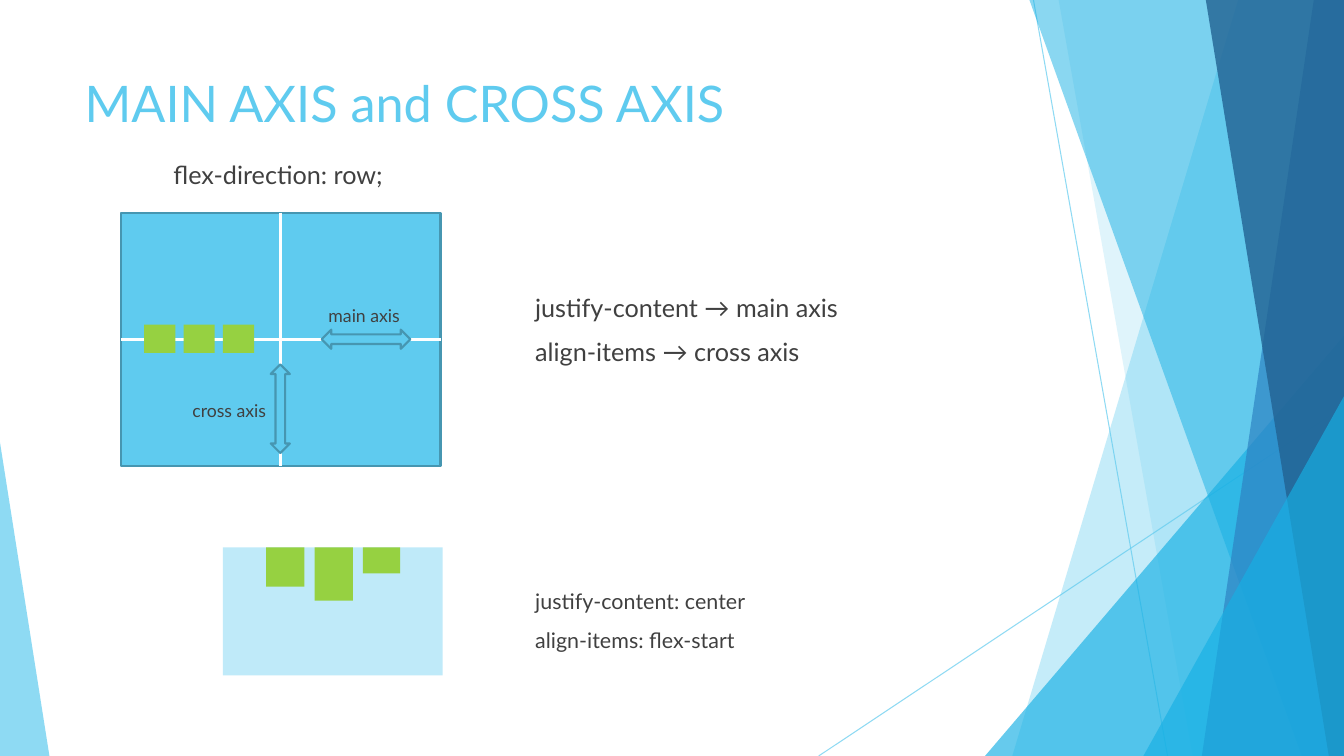
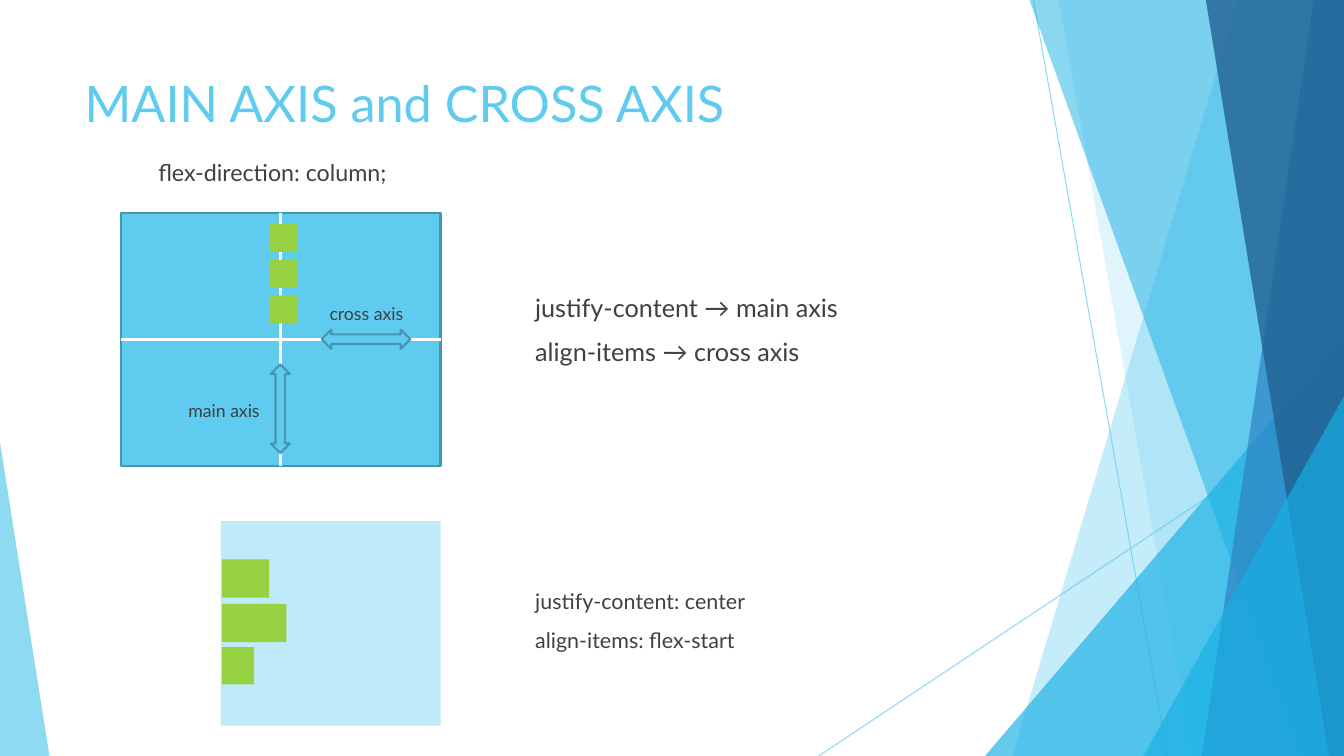
from lxml.etree import SubElement
from pptx import Presentation
from pptx.dml.color import RGBColor
from pptx.enum.shapes import MSO_CONNECTOR, MSO_SHAPE
from pptx.enum.text import MSO_ANCHOR, MSO_AUTO_SIZE, PP_ALIGN
from pptx.oxml.ns import qn
from pptx.util import Inches, Pt

SKY = RGBColor(0x5F, 0xCB, 0xEF)
AZURE = RGBColor(0x17, 0xB0, 0xE4)
BLUE = RGBColor(0x2E, 0x83, 0xC3)
NAVY = RGBColor(0x22, 0x62, 0x92)
PALE = RGBColor(0xBF, 0xEA, 0xF9)
EDGE = RGBColor(0x46, 0x96, 0xB1)
GREEN = RGBColor(0x96, 0xD1, 0x41)
INK = RGBColor(0x40, 0x40, 0x40)
WHITE = RGBColor(0xFF, 0xFF, 0xFF)

WIDTH, HEIGHT = 13.33, 7.5
LEFT, TOP, ACROSS, DOWN = 1.2, 2.11, 3.17, 2.51
MIDDLE_X, MIDDLE_Y = LEFT + ACROSS / 2, TOP + DOWN / 2
ARROW_LONG, ARROW_THICK = 0.88, 0.19
NOTES_LEFT = 5.21


def paint(shape, fill=None, line=None, weight=0, opacity=100):
    if fill is None:
        SubElement(shape.element.spPr, qn("a:effectLst"))
    else:
        shape.shadow.inherit = False
        shape.fill.solid()
        shape.fill.fore_color.rgb = fill
    if line is None:
        shape.line.fill.background()
    else:
        shape.line.color.rgb = line
        shape.line.width = Pt(weight)
    if opacity < 100:
        colour = shape.element.spPr.find(".//" + qn("a:srgbClr"))
        SubElement(colour, qn("a:alpha")).set("val", str(opacity * 1000))
    shape.element.spPr.find(qn("a:ln"))


def write(box, text, size, colour=INK, before=10):
    frame = box.text_frame
    frame.text = text
    frame.word_wrap = True
    frame.auto_size = MSO_AUTO_SIZE.NONE
    frame.vertical_anchor = MSO_ANCHOR.TOP
    for para in frame.paragraphs:
        para.alignment = PP_ALIGN.LEFT
        para.space_before = Pt(before)
        props = para._p.get_or_add_pPr()
        props.set("marL", "0")
        props.set("indent", "0")
        SubElement(props, qn("a:buNone"))
        for span in para.runs:
            span.font.name = "Lato"
            span.font.size = Pt(size)
            span.font.color.rgb = colour


deck = Presentation()
deck.slide_width, deck.slide_height = Inches(WIDTH), Inches(HEIGHT)
layout = deck.slide_layouts[1]
heading = layout.placeholders[0]
heading.left, heading.top = Inches(0.74), Inches(0.67)
heading.width, heading.height = Inches(9.4), Inches(1.44)

versions = [
    dict(direction="flex-direction: row;", size=18, at=(1.62, 1.53, 2.4, 0.41),
         labels=[("main axis", 3.16, 2.98), ("cross axis", 1.81, 3.92)],
         squares=[(1.43 + 0.39 * i, 3.22, 0.31, 0.28) for i in range(3)],
         panel=(2.21, 5.43, 2.18, 1.27),
         bars=[(2.64, 5.43, 0.38, 0.39), (3.12, 5.43, 0.38, 0.53),
               (3.6, 5.43, 0.37, 0.26)]),
    dict(direction="flex-direction: column;", size=16.6, at=(1.47, 1.52, 2.75, 0.46),
         labels=[("cross axis", 3.17, 2.96), ("main axis", 1.77, 3.92)],
         squares=[(2.67, 2.22 + 0.355 * i, 0.28, 0.28) for i in range(3)],
         panel=(2.19, 5.17, 2.18, 2.03),
         bars=[(2.2, 5.55, 0.47, 0.38), (2.2, 5.99, 0.64, 0.38),
               (2.2, 6.42, 0.32, 0.37)]),
]
notes = [
    ("justify-content → main axis\nalign-items → cross axis", 18, 2.85, 3.6, 1.21),
    ("justify-content: center\nalign-items: flex-start", 15.3, 5.78, 2.35, 0.78),
]
pages = [deck.slides.add_slide(layout) for version in versions]

canvas = pages[0].shapes
decor = []
for ends in [(10.25, 0, 11.58, HEIGHT), (WIDTH, 4.03, 8.12, HEIGHT)]:
    ray = canvas.add_connector(MSO_CONNECTOR.STRAIGHT, *map(Inches, ends))
    paint(ray, line=SKY, weight=0.75, opacity=70)
    decor.append(ray)

facets = [
    ("band", 12.28, 10.04, SKY, 36),
    ("band", 10.5, 11.83, SKY, 20),
    ("peak", 9.77, 3.33, AZURE, 66),
    ("band", 10.21, 12.91, AZURE, 50),
    ("band", 13.03, 11.92, BLUE, 70),
    ("band", 11.96, 13.18, NAVY, 80),
    ("peak", 11.34, 3.93, AZURE, 66),
    ("corner", 0, 4.39, SKY, 70),
]
for kind, first, second, colour, opacity in facets:
    if kind == "band":
        outline = canvas.build_freeform(Inches(first), 0)
        outline.add_line_segments([
            (Inches(x), Inches(y))
            for x, y in [(WIDTH, 0), (WIDTH, HEIGHT), (second, HEIGHT)]])
        facet = outline.convert_to_shape()
    else:
        base = WIDTH - first if kind == "peak" else 0.49
        facet = canvas.add_shape(
            MSO_SHAPE.ISOSCELES_TRIANGLE,
            *map(Inches, (first, second, base, HEIGHT - second)))
        facet.adjustments[0] = 1 if kind == "peak" else 0
    paint(facet, colour, opacity=opacity)
    decor.append(facet)

for number, piece in enumerate(decor, 20):
    piece.element.find(".//" + qn("p:cNvPr")).set("id", str(number))
    layout.shapes.element.append(piece.element)

for page, version in zip(pages, versions):
    shapes = page.shapes
    write(shapes.title, "MAIN AXIS and CROSS AXIS", 36, SKY, 0)
    body = page.placeholders[1]
    body.left, body.top, body.width, body.height = map(Inches, version["at"])
    write(body, version["direction"], version["size"])

    for text, size, top, width, height in notes:
        box = shapes.add_textbox(*map(Inches, (NOTES_LEFT, top, width, height)))
        write(box, text, size)

    container = shapes.add_shape(
        MSO_SHAPE.RECTANGLE, *map(Inches, (LEFT, TOP, ACROSS, DOWN)))
    paint(container, SKY, EDGE, 1.5)
    for ends in [(MIDDLE_X, TOP, MIDDLE_X, TOP + DOWN),
                 (LEFT, MIDDLE_Y, LEFT + ACROSS, MIDDLE_Y)]:
        axis = shapes.add_connector(MSO_CONNECTOR.STRAIGHT, *map(Inches, ends))
        paint(axis, line=WHITE, weight=2.25)

    for left, top, turn in [(3.19, 3.27, 0), (2.34, 3.96, 90)]:
        arrow = shapes.add_shape(
            MSO_SHAPE.LEFT_RIGHT_ARROW,
            *map(Inches, (left, top, ARROW_LONG, ARROW_THICK)))
        arrow.rotation = turn
        paint(arrow, SKY, EDGE, 1.5)
    for text, left, top in version["labels"]:
        label = shapes.add_textbox(*map(Inches, (left, top, 1.07, 0.29)))
        write(label, text, 12.6)

    blocks = [(version["panel"], PALE)]
    blocks += [(place, GREEN) for place in version["squares"] + version["bars"]]
    for place, colour in blocks:
        block = shapes.add_shape(MSO_SHAPE.RECTANGLE, *map(Inches, place))
        paint(block, colour)

deck.save("out.pptx")
